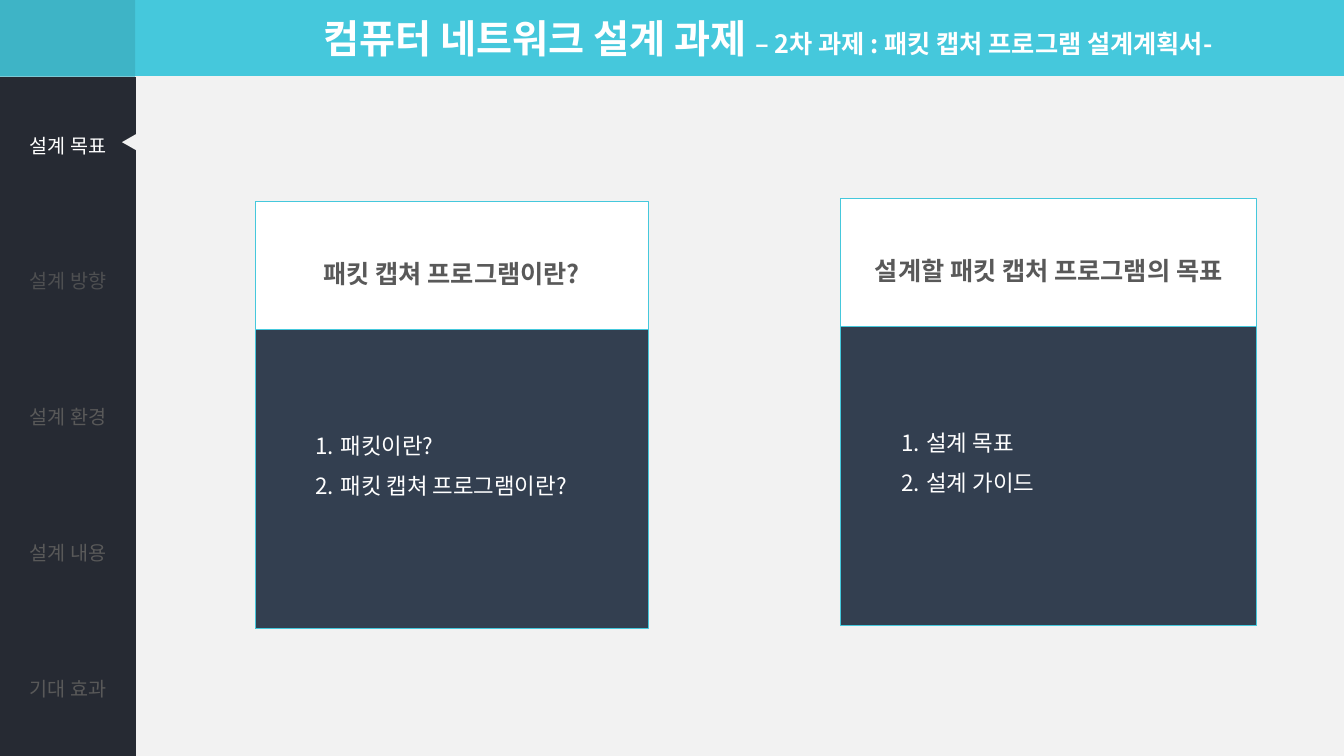
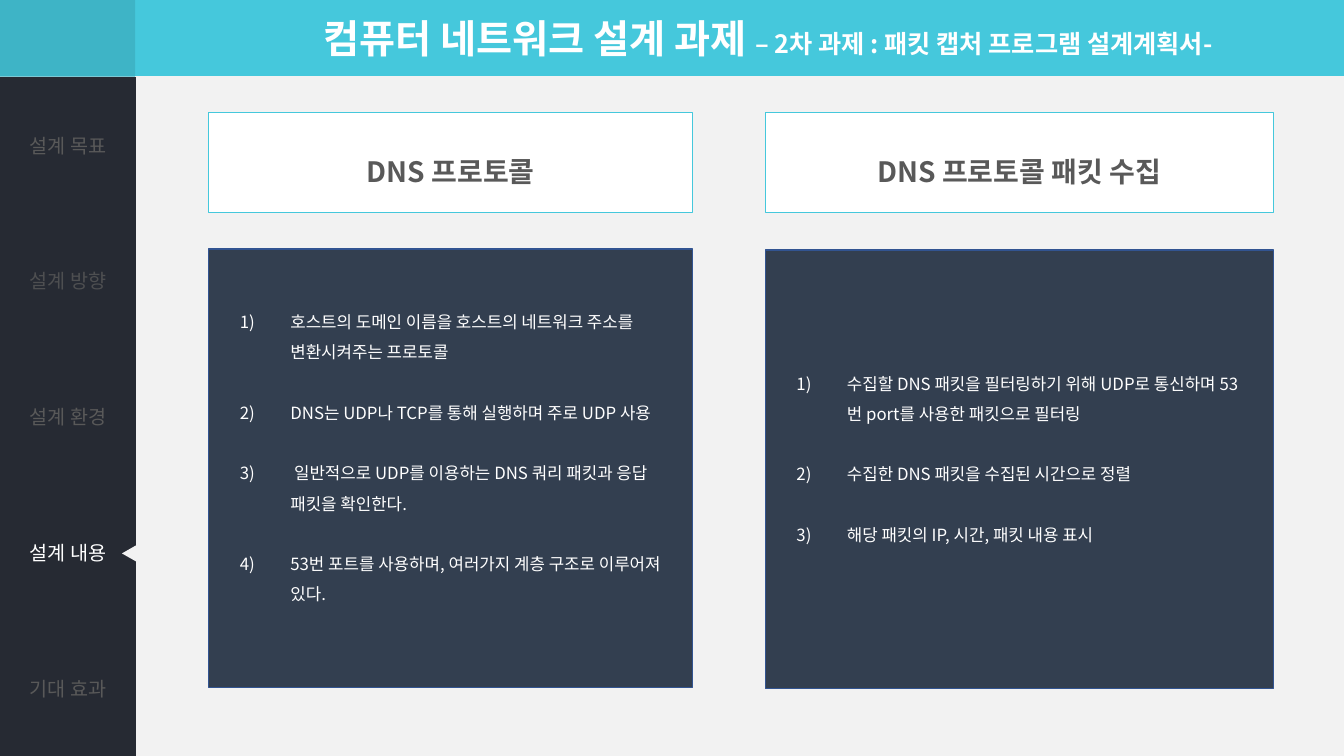
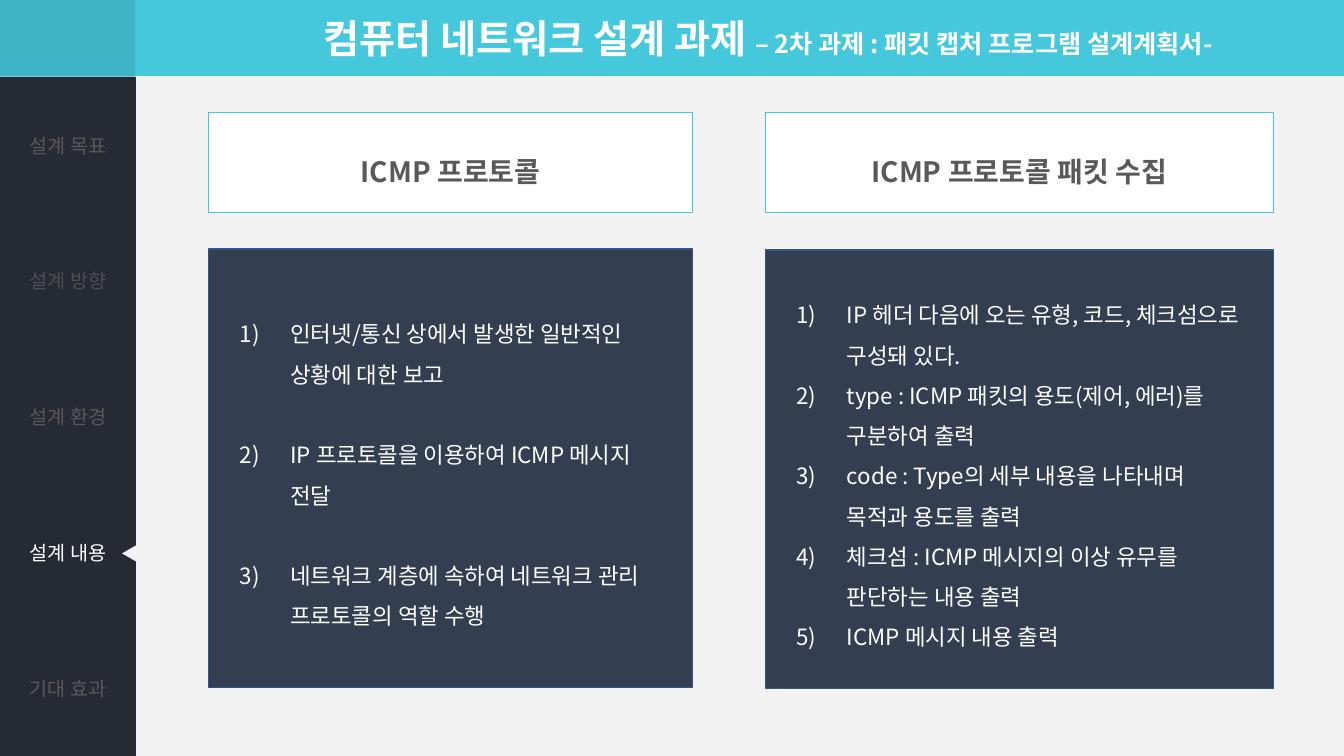
from pptx import Presentation
from pptx.dml.color import RGBColor
from pptx.enum.shapes import MSO_SHAPE
from pptx.enum.text import MSO_ANCHOR, PP_ALIGN
from pptx.oxml.ns import qn
from pptx.util import Inches, Pt
from lxml.etree import SubElement

HEX = {
    "cyan": "45C8DC", "teal": "3EB4C6", "pale": "F2F2F2", "night": "262A33",
    "slate": "333F50", "blue": "325491", "white": "FFFFFF",
    "gray": "595959", "dim": "4E4F51",
}
FONT = "Noto Sans CJK KR"
MENU = ["설계 목표", "설계 방향", "설계 환경", "설계 내용", "기대 효과"]
NO_STYLE = "{2D5ABB26-0587-4C30-8999-92F81FD0307C}"
STEP = 1.8


def rgb(name):
    return RGBColor.from_string(HEX[name])


class Deck:
    """Hold the shared style and the current slide."""

    def __init__(self):
        self.prs = Presentation()
        self.prs.slide_width = Inches(13.33)
        self.prs.slide_height = Inches(7.5)

    def page(self, row):
        self.slide = self.prs.slides.add_slide(self.prs.slide_layouts[6])
        fill = self.slide.background.fill
        fill.gradient()
        fill.gradient_angle = 270
        for stop, name in zip(fill.gradient_stops, ("cyan", "pale")):
            stop.color.rgb = rgb(name)
            stop.position = 0.1
        self.title()
        self.box((0, 0, 1.34, 0.76), "teal")
        self.menu(row)
        mark = self.box((1.2, 1.34 + 1.36 * row, 0.16, 0.14), "pale",
                        kind=MSO_SHAPE.ISOSCELES_TRIANGLE)
        mark.rotation = 270

    def label(self, para, text, size, color, bold=False):
        run = para.add_run()
        run.text = text
        style = {"name": FONT, "size": Pt(size), "bold": bold}
        for key, value in style.items():
            setattr(run.font, key, value)
        run.font.color.rgb = rgb(color)
        SubElement(run.font._element, qn("a:ea")).set("typeface", FONT)

    def title(self):
        area = self.slide.shapes.add_textbox(*map(Inches, (3.11, 0.09, 10.64, 0.57)))
        frame = area.text_frame
        frame.word_wrap = True
        frame.vertical_anchor = MSO_ANCHOR.MIDDLE
        para = frame.paragraphs[0]
        self.label(para, "컴퓨터 네트워크 설계 과제 ", 28, "white", True)
        self.label(para, "– 2차 과제 : 패킷 캡처 프로그램 설계계획서-", 18, "white", True)

    def menu(self, active):
        spot = map(Inches, (0, 0.76, 1.35, 6.74))
        table = self.slide.shapes.add_table(len(MENU), 1, *spot).table
        table._tbl.tblPr.find(qn("a:tableStyleId")).text = NO_STYLE
        table.first_row = table.horz_banding = False
        for row, text in enumerate(MENU):
            cell = table.cell(row, 0)
            cell.fill.solid()
            cell.fill.fore_color.rgb = rgb("night")
            cell.vertical_anchor = MSO_ANCHOR.MIDDLE
            para = cell.text_frame.paragraphs[0]
            para.alignment = PP_ALIGN.CENTER
            color = "white" if row == active else "dim" if row == 1 else "gray"
            self.label(para, text, 14, color)

    def box(self, spot, fill, line=None, width=0.75, kind=MSO_SHAPE.RECTANGLE):
        shape = self.slide.shapes.add_shape(kind, *map(Inches, spot))
        shape.shadow.inherit = False
        shape.fill.solid()
        shape.fill.fore_color.rgb = rgb(fill)
        if line:
            shape.line.color.rgb = rgb(line)
            shape.line.width = Pt(width)
        else:
            shape.line.fill.background()
        shape.text_frame.word_wrap = True
        shape.text_frame.vertical_anchor = MSO_ANCHOR.MIDDLE
        return shape

    def head(self, spot, text, size):
        para = self.box(spot, "white", "cyan").text_frame.paragraphs[0]
        para.alignment = PP_ALIGN.CENTER
        para.line_spacing = 1.5
        self.label(para, text, size, "gray", True)

    def items(self, shape, lines, size, mark, left, hang, side, gap=0, tail=0):
        frame = shape.text_frame
        inset = {"margin_left": side, "margin_right": side,
                 "margin_bottom": 0.05 + tail * STEP * size / 72}
        for key, value in inset.items():
            setattr(frame, key, Inches(value))
        for num, text in enumerate(lines):
            para = frame.add_paragraph() if num else frame.paragraphs[0]
            form = {"alignment": PP_ALIGN.LEFT, "line_spacing": 1.5,
                    "space_before": Pt(gap * STEP * size if num else 0)}
            for key, value in form.items():
                setattr(para, key, value)
            props = para._p.get_or_add_pPr()
            props.set("marL", str(Inches(left)))
            props.set("indent", str(-Inches(hang)))
            SubElement(props, qn("a:buFont")).set("typeface", "+mj-lt")
            SubElement(props, qn("a:buAutoNum")).set("type", mark)
            self.label(para, text, size, "white")

    def card(self, left, top, width, head, lines):
        body = self.box((left, top + 1.27, width, 2.97), "slate", "cyan")
        self.items(body, lines, 16, "arabicPeriod", 0.75, 0.25, 0.1, tail=1)
        self.head((left, top, width, 1.27), head, 18)

    def panel(self, left, top, width, head, lines, size, gap, tail):
        self.head((left, 1.12, width, 0.99), head, 20)
        body = self.box((left, top, width, 4.35), "slate", "blue", 1)
        self.items(body, lines, size, "arabicParenR", 0.5, 0.5, 0.31, gap, tail)

    def pair(self, name, size, first, second, gaps, tail):
        self.page(3)
        self.panel(2.07, 2.47, 4.8, f"{name} 프로토콜", first, size, gaps[0], tail)
        self.panel(7.59, 2.48, 5.04, f"{name} 프로토콜 패킷 수집", second, size,
                   gaps[1], tail)


deck = Deck()
deck.page(0)
deck.card(2.53, 2, 3.9, "패킷 캡쳐 프로그램이란?",
          ["패킷이란?", "패킷 캡쳐 프로그램이란?"])
deck.card(8.34, 1.97, 4.12, "설계할 패킷 캡처 프로그램의 목표",
          ["설계 목표", "설계 가이드"])

deck.pair("DNS", 12, [
    "호스트의 도메인 이름을 호스트의 네트워크 주소를 변환시켜주는 프로토콜",
    "DNS는 UDP나 TCP를 통해 실행하며 주로 UDP 사용",
    " 일반적으로 UDP를 이용하는 DNS 쿼리 패킷과 응답 패킷을 확인한다.",
    "53번 포트를 사용하며, 여러가지 계층 구조로 이루어져 있다.",
], [
    "수집할 DNS 패킷을 필터링하기 위해 UDP로 통신하며 53번 port를 사용한 패킷으로 필터링",
    "수집한 DNS 패킷을 수집된 시간으로 정렬",
    "해당 패킷의 IP, 시간, 패킷 내용 표시",
], (1, 1), 1)

deck.pair("ICMP", 16, [
    "인터넷/통신 상에서 발생한 일반적인 상황에 대한 보고",
    "IP 프로토콜을 이용하여 ICMP 메시지 전달",
    "네트워크 계층에 속하여 네트워크 관리 프로토콜의 역할 수행",
], [
    "IP 헤더 다음에 오는 유형, 코드, 체크섬으로 구성돼 있다.",
    "type : ICMP 패킷의 용도(제어, 에러)를 구분하여 출력",
    "code : Type의 세부 내용을 나타내며 목적과 용도를 출력",
    "체크섬 : ICMP 메시지의 이상 유무를 판단하는 내용 출력",
    "ICMP 메시지 내용 출력",
], (1, 0), 0)

deck.prs.save("out.pptx")
